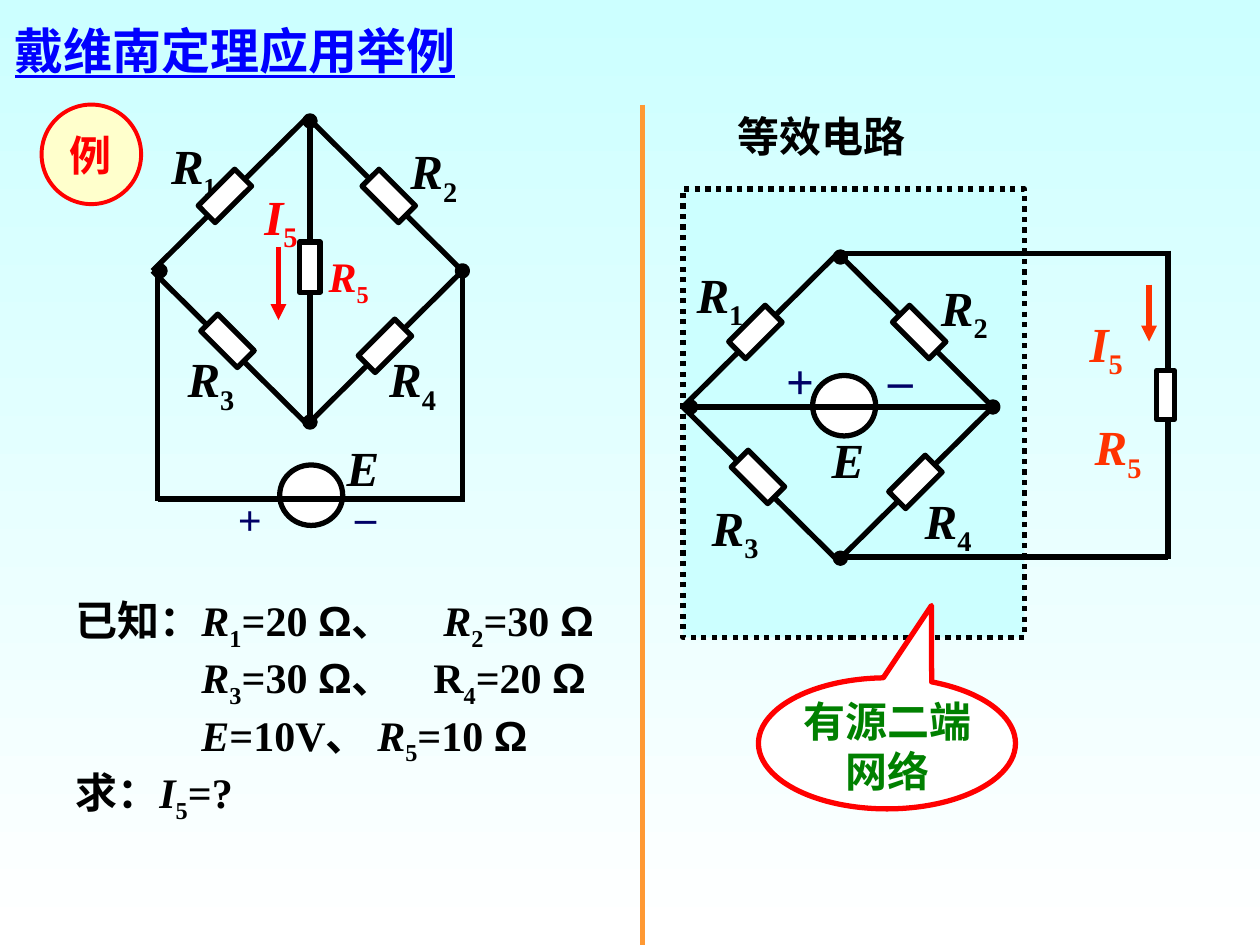
from lxml import etree
from pptx import Presentation
from pptx import util as u
from pptx.dml.color import RGBColor
from pptx.enum import dml, shapes, text
from pptx.oxml.ns import qn

BLACK, WHITE, RED, ORANGE, NAVY = "000000", "FFFFFF", "FF0000", "FF3300", "000066"
CYAN = "CCFFFF"
BRIDGE = 2.46


def rgb(value):
    return RGBColor.from_string(value)


def add_text(slide, box, paragraphs, size=28, color=BLACK, centred=False, wrap=False, tabs=(), sub_size=None):
    frame = slide.shapes.add_textbox(*map(u.Inches, box)).text_frame
    frame.word_wrap = wrap
    frame.auto_size = text.MSO_AUTO_SIZE.SHAPE_TO_FIT_TEXT
    if centred:
        frame.vertical_anchor = text.MSO_ANCHOR.MIDDLE
    for index, parts in enumerate(paragraphs):
        paragraph = frame.paragraphs[0] if index == 0 else frame.add_paragraph()
        paragraph.alignment = text.PP_ALIGN.CENTER if centred else text.PP_ALIGN.LEFT
        if index < len(tabs) and tabs[index]:
            stops = etree.SubElement(paragraph._p.get_or_add_pPr(), qn("a:tabLst"))
            for stop in tabs[index]:
                etree.SubElement(stops, qn("a:tab"), pos=str(u.Inches(stop)), algn="l")
        for words, style in parts:
            run = paragraph.add_run()
            run.text = words
            font = run.font
            font.name = "Arial" if style == "arial" else "Times New Roman"
            font.size = u.Pt(size)
            font.bold = True
            font.color.rgb = rgb(color)
            font.italic = style == "italic"
            if style == "underline":
                font.underline = True
            if style == "sub":
                font.size = u.Pt(sub_size or size)
                font._element.set("baseline", "-25000")


def symbol(letter, index):
    return [(letter, "italic"), (index, "sub")]


def add_shape(slide, kind, box, fill=WHITE, line=BLACK, width=3, rotation=0):
    shape = slide.shapes.add_shape(kind, *map(u.Inches, box))
    shape.shadow.inherit = False
    shape.fill.solid()
    shape.fill.fore_color.rgb = rgb(fill)
    shape.line.color.rgb = rgb(line)
    shape.line.width = u.Pt(width)
    shape.rotation = rotation
    return shape


def rectangle(slide, box, **style):
    return add_shape(slide, shapes.MSO_SHAPE.RECTANGLE, box, **style)


def ellipse(slide, box, **style):
    return add_shape(slide, shapes.MSO_SHAPE.OVAL, box, **style)


def wire(slide, x1, y1, x2, y2, color=BLACK, arrow=False):
    line = slide.shapes.add_connector(shapes.MSO_CONNECTOR.STRAIGHT, *map(u.Inches, (x1, y1, x2, y2)))
    line.line.color.rgb = rgb(color)
    line.line.width = u.Pt(3)
    if arrow:
        etree.SubElement(line.line._get_or_add_ln(), qn("a:tailEnd"), type="triangle")
    etree.SubElement(line._element.spPr, qn("a:effectLst"))


def bridge(slide, x, y, label_offsets, first_sub_size=28):
    half = BRIDGE / 2
    for index, (dx, dy) in enumerate(label_offsets, 1):
        sub_size = first_sub_size if index == 1 else 28
        add_text(slide, (x + dx, y + dy, 0.6, 0.63), [symbol("R", str(index))], sub_size=sub_size)
    for side in (0, BRIDGE):
        for end in (0.01, BRIDGE - 0.01):
            wire(slide, x + side, y + half, x + half, y + end)
    for dx, dy in ((1.21, 0), (1.21, 2.39), (2.42, 1.19), (0.02, 1.19)):
        ellipse(slide, (x + dx, y + dy, 0.08, 0.08), fill=BLACK)
    for dx, dy, angle in ((0.48, 0.43, 45), (1.75, 1.62, 45), (1.78, 0.43, 135), (0.5, 1.58, 135)):
        rectangle(slide, (x + dx, y + dy, 0.19, 0.41), rotation=angle)


def source_circuit(slide, x, y):
    ellipse(slide, (x + 1.01, y + 2.77, 0.5, 0.48))
    add_text(slide, (x + 0.58, y + 2.95, 0.39, 0.5), [[("+", "")]], 24, NAVY)
    add_text(slide, (x + 1.51, y + 2.81, 0.36, 0.5), [[("_", "")]], 24, NAVY)
    bridge(slide, x, y, ((0.05, 0.11), (1.95, 0.15), (0.18, 1.8), (1.78, 1.8)), 24)
    wire(slide, x + 1.25, y + 0.02, x + 1.25, y + 2.43)
    wire(slide, x + 0.04, y + 1.21, x + 0.04, y + 3.06)
    wire(slide, x + 2.46, y + 1.25, x + 2.46, y + 3.04)
    wire(slide, x + 0.04, y + 3.04, x + 2.48, y + 3.04)
    rectangle(slide, (x + 1.17, y + 1, 0.16, 0.4))
    add_text(slide, (x + 1.3, y + 1.02, 0.55, 0.56), [symbol("R", "5")], 24, RED)
    add_text(slide, (x + 1.44, y + 2.5, 0.46, 0.57), [[("E", "italic")]], centred=True)
    wire(slide, x + 1, y + 1.04, x + 1, y + 1.62, RED, True)
    add_text(slide, (x + 0.75, y + 0.51, 0.54, 0.63), [symbol("I", "5")], color=RED, centred=True)


def equivalent_circuit(slide, x, y):
    network = rectangle(slide, (x, y, 2.71, 3.56), fill=CYAN)
    network.line.dash_style = dml.MSO_LINE.ROUND_DOT
    wire(slide, x + 3.85, y + 0.49, x + 3.85, y + 2.94)
    rectangle(slide, (x + 3.76, y + 1.44, 0.14, 0.39))
    add_text(slide, (x + 3.17, y + 1.76, 0.6, 0.63), [symbol("R", "5")], color=ORANGE)
    wire(slide, x + 3.7, y + 0.76, x + 3.7, y + 1.21, ORANGE, True)
    add_text(slide, (x + 3.13, y + 0.94, 0.54, 0.63), [symbol("I", "5")], color=ORANGE)
    wire(slide, x + 1.26, y + 0.51, x + 3.85, y + 0.51)
    wire(slide, x + 1.24, y + 2.92, x + 3.85, y + 2.92)
    ellipse(slide, (x + 1.03, y + 1.48, 0.5, 0.48))
    add_text(slide, (x + 0.72, y + 1.23, 0.42, 0.57), [[("+", "")]], color=NAVY)
    add_text(slide, (x + 1.53, y + 1.09, 0.39, 0.57), [[("_", "")]], color=NAVY)
    bridge(slide, x, y + 0.5, ((0.01, 0.05), (1.95, 0.15), (0.13, 1.9), (1.82, 1.84)))
    wire(slide, x + 0.06, y + 1.73, x + 2.49, y + 1.73)
    add_text(slide, (x + 1.08, y + 1.86, 0.46, 0.57), [[("E", "italic")]], centred=True)


def conditions(slide, x, y, w, h):
    ohm = ("Ω", "arial")
    given = [
        [("已知：", ""), *symbol("R", "1"), ("=20 ", ""), ohm, ("、\t", ""),
         *symbol("R", "2"), ("=30 ", ""), ohm],
        [("\t", ""), *symbol("R", "3"), ("=30 ", ""), ohm, ("、\tR", ""),
         ("4", "sub"), ("=20 ", ""), ohm],
        [("\t", ""), ("E", "italic"), ("=10V、 ", ""), *symbol("R", "5"), ("=10 ", ""), ohm],
        [("求：", ""), *symbol("I", "5"), ("=?", "")],
    ]
    add_text(slide, (x, y, w, h), given, 24, wrap=True, tabs=((2.92,), (1, 2.84), (1,)))


def callout(slide, x, y, w, h):
    bubble = add_shape(slide, shapes.MSO_SHAPE.OVAL_CALLOUT, (x, y, w, h), line=RED)
    bubble.adjustments[0] = 0.173
    bubble.adjustments[1] = -1.052
    add_text(slide, (x + 0.25, y + 0.09, 1.55, 0.9), [[("有源二端网络", "")]], 24, "008000", True, True)


def example_badge(slide, x, y, diameter):
    ellipse(slide, (x, y, diameter, diameter), fill="FFFFCC", line=RED, width=2.25)
    add_text(slide, (x + 0.12, y + 0.15, 0.55, 0.5), [[("例", "")]], 24, RED)


def main():
    deck = Presentation()
    deck.slide_width, deck.slide_height = u.Inches(10), u.Inches(7.5)
    slide = deck.slides.add_slide(deck.slide_layouts[6])
    backdrop = slide.background.fill
    backdrop.gradient()
    backdrop.gradient_angle = 270
    for stop, color in zip(backdrop.gradient_stops, (CYAN, WHITE)):
        stop.color.rgb = rgb(color)
    add_text(slide, (0.02, 0.11, 3.8, 0.57), [[("戴维南定理应用举例", "underline")]], color="0000FF")
    conditions(slide, 0.5, 4.67, 4.38, 1.92)
    wire(slide, 5.1, 0.83, 5.1, 7.5, "FF9933")
    source_circuit(slide, 1.21, 0.92)
    equivalent_circuit(slide, 5.42, 1.5)
    add_text(slide, (5.72, 0.83, 1.6, 0.5), [[("等效电路", "")]], 24, centred=True)
    callout(slide, 6.02, 5.38, 2.04, 1.04)
    example_badge(slide, 0.33, 0.83, 0.79)
    deck.save("out.pptx")


if __name__ == "__main__":
    main()
